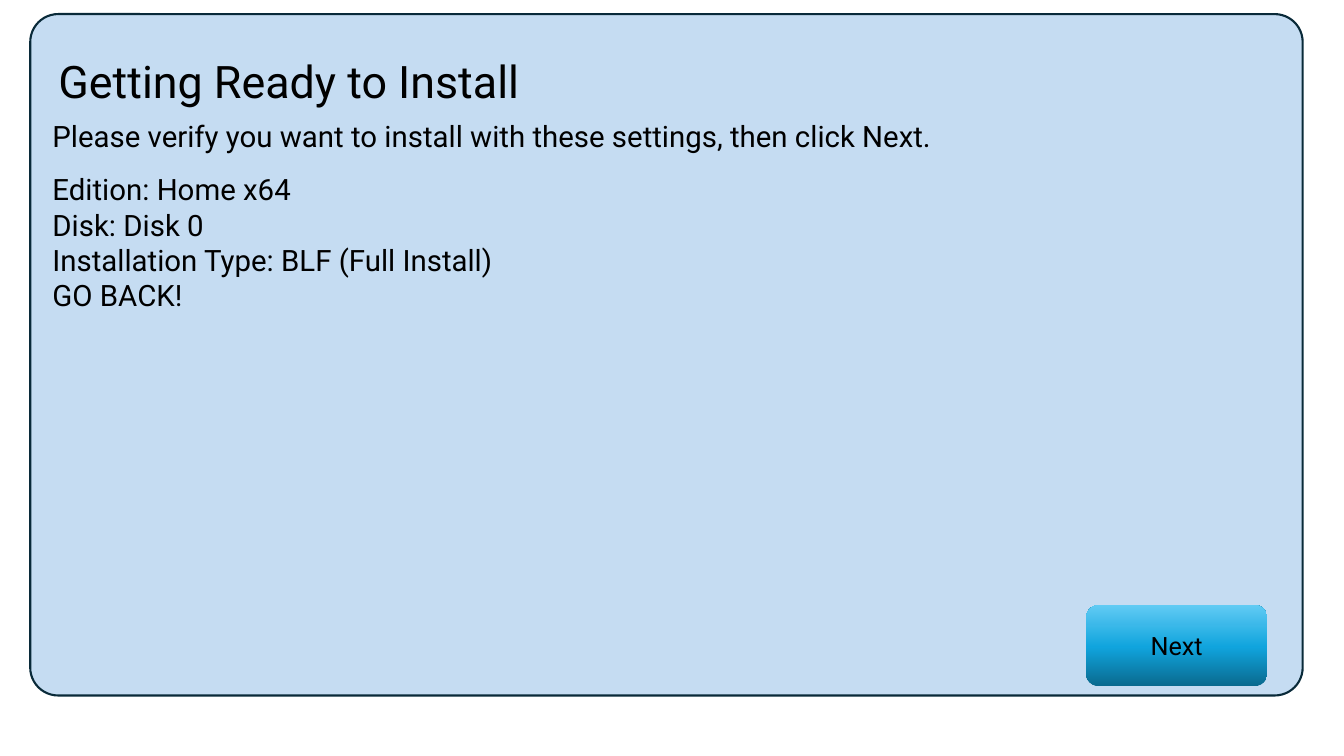
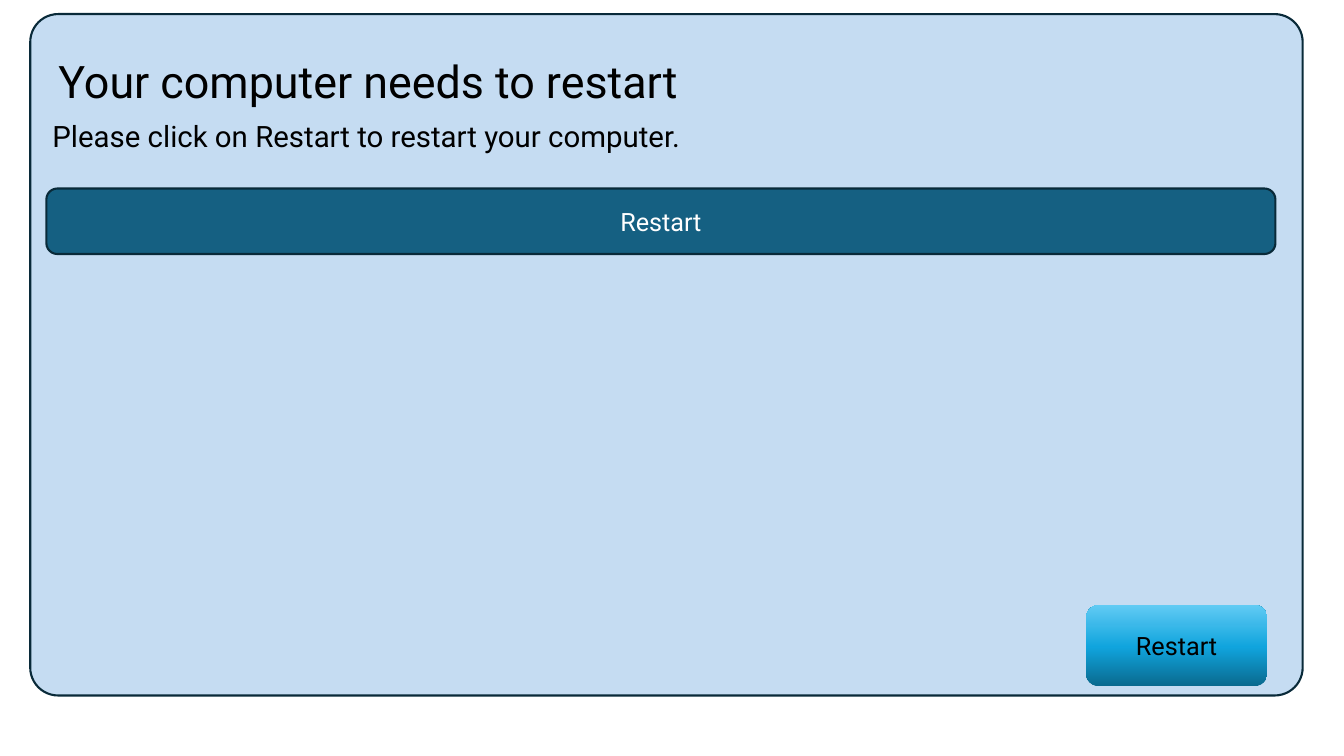
from copy import deepcopy

from lxml import etree
from pptx import Presentation
from pptx.dml.color import RGBColor
from pptx.enum import shapes, text
from pptx.oxml.ns import qn
from pptx.util import Inches, Pt

FONT = "Roboto"
BLACK = RGBColor(0x00, 0x00, 0x00)
WHITE = RGBColor(0xFF, 0xFF, 0xFF)
PANEL_BLUE = RGBColor(0xA6, 0xCA, 0xEC)
OUTLINE = RGBColor(0x09, 0x2A, 0x39)
OPTION_TEAL = RGBColor(0x15, 0x60, 0x82)
# Button gradient, from bottom to top
BUTTON_STOPS = [
    (0, RGBColor(0x0A, 0x6A, 0x8F)),
    (0.48, RGBColor(0x10, 0xA4, 0xDD)),
    (1, RGBColor(0x61, 0xCB, 0xF4)),
]

TITLE_AND_BODY, TITLE_AND_TWO_BODIES = 1, 3
INTRO_BOX = (0.42, 1.12, 12.15, 0.45)
SETTINGS_BOX = (0.42, 1.65, 12.15, 1.51)


def place(shape, left, top, width, height):
    shape.left, shape.top = Inches(left), Inches(top)
    shape.width, shape.height = Inches(width), Inches(height)


def style_paragraph(paragraph, size, color, align):
    paragraph.alignment = align
    paragraph.space_before = Pt(0)
    paragraph.font.name = FONT
    paragraph.font.size = Pt(size)
    paragraph.font.color.rgb = color


def fill_placeholder(placeholder, box, lines, size):
    """Put plain left-aligned lines, without bullets, in a placeholder."""
    place(placeholder, *box)
    frame = placeholder.text_frame
    frame.text = "\n".join(lines)
    frame.word_wrap = True
    frame.auto_size = text.MSO_AUTO_SIZE.NONE
    frame.vertical_anchor = text.MSO_ANCHOR.TOP
    for paragraph in frame.paragraphs:
        properties = paragraph._p.get_or_add_pPr()
        properties.set("marL", "0")
        properties.set("indent", "0")
        etree.SubElement(properties, qn("a:buNone"))
        style_paragraph(paragraph, size, BLACK, text.PP_ALIGN.LEFT)


def add_rounded(slide, box, label="", label_color=BLACK):
    rounded = slide.shapes.add_shape(
        shapes.MSO_SHAPE.ROUNDED_RECTANGLE, *map(Inches, box))
    rounded.shadow.inherit = False
    if label:
        frame = rounded.text_frame
        frame.text = label
        frame.vertical_anchor = text.MSO_ANCHOR.MIDDLE
        style_paragraph(frame.paragraphs[0], 18, label_color,
                        text.PP_ALIGN.CENTER)
    return rounded


def outline_and_fill(shape, color):
    shape.fill.solid()
    shape.fill.fore_color.rgb = color
    shape.line.color.rgb = OUTLINE
    shape.line.width = Pt(1.5)


def add_panel(slide):
    """Add the translucent window behind the placeholders."""
    panel = add_rounded(slide, (0.3, 0.14, 12.62, 6.76))
    panel.adjustments[0] = 0.041
    outline_and_fill(panel, PANEL_BLUE)
    fill_color = panel.element.spPr.find(qn("a:solidFill"))[0]
    etree.SubElement(fill_color, qn("a:alpha"), val="65000")
    slide.shapes.title.element.addprevious(panel.element)


def add_action_button(slide, label):
    button = add_rounded(slide, (10.77, 6, 1.8, 0.81), label)
    button.line.fill.background()
    button.fill.gradient()
    button.fill.gradient_angle = 90
    # The default gradient has two stops; add the middle one
    stop_list = button.element.spPr.find(qn("a:gradFill")).find(qn("a:gsLst"))
    stop_list.insert(1, deepcopy(stop_list[0]))
    for stop, (position, color) in zip(button.fill.gradient_stops, BUTTON_STOPS):
        stop.position = position
        stop.color.rgb = color


def add_option_bar(slide, label):
    option = add_rounded(slide, (0.46, 1.87, 12.19, 0.65), label, WHITE)
    outline_and_fill(option, OPTION_TEAL)


def add_setup_slide(deck, layout, title, intro, action):
    """Add a slide with everything the setup screens share."""
    slide = deck.slides.add_slide(deck.slide_layouts[layout])
    add_panel(slide)
    fill_placeholder(slide.shapes.title, (0.48, 0.48, 12.15, 0.64), [title], 32)
    fill_placeholder(slide.placeholders[1], INTRO_BOX, [intro], 21)
    add_action_button(slide, action)
    return slide


def main():
    deck = Presentation()
    deck.slide_width, deck.slide_height = Inches(13.33), Inches(7.5)

    # Settings to verify
    ready = add_setup_slide(
        deck, TITLE_AND_TWO_BODIES, "Getting Ready to Install",
        "Please verify you want to install with these settings, then click Next.",
        "Next")
    fill_placeholder(ready.placeholders[2], SETTINGS_BOX, [
        "Edition: Home x64",
        "Disk: Disk 0",
        "Installation Type: BLF (Full Install)",
        "GO BACK!",
    ], 21)

    # Restart request
    restart = add_setup_slide(
        deck, TITLE_AND_BODY, "Your computer needs to restart",
        "Please click on Restart to restart your computer.", "Restart")
    add_option_bar(restart, "Restart")

    deck.save("out.pptx")


if __name__ == "__main__":
    main()
